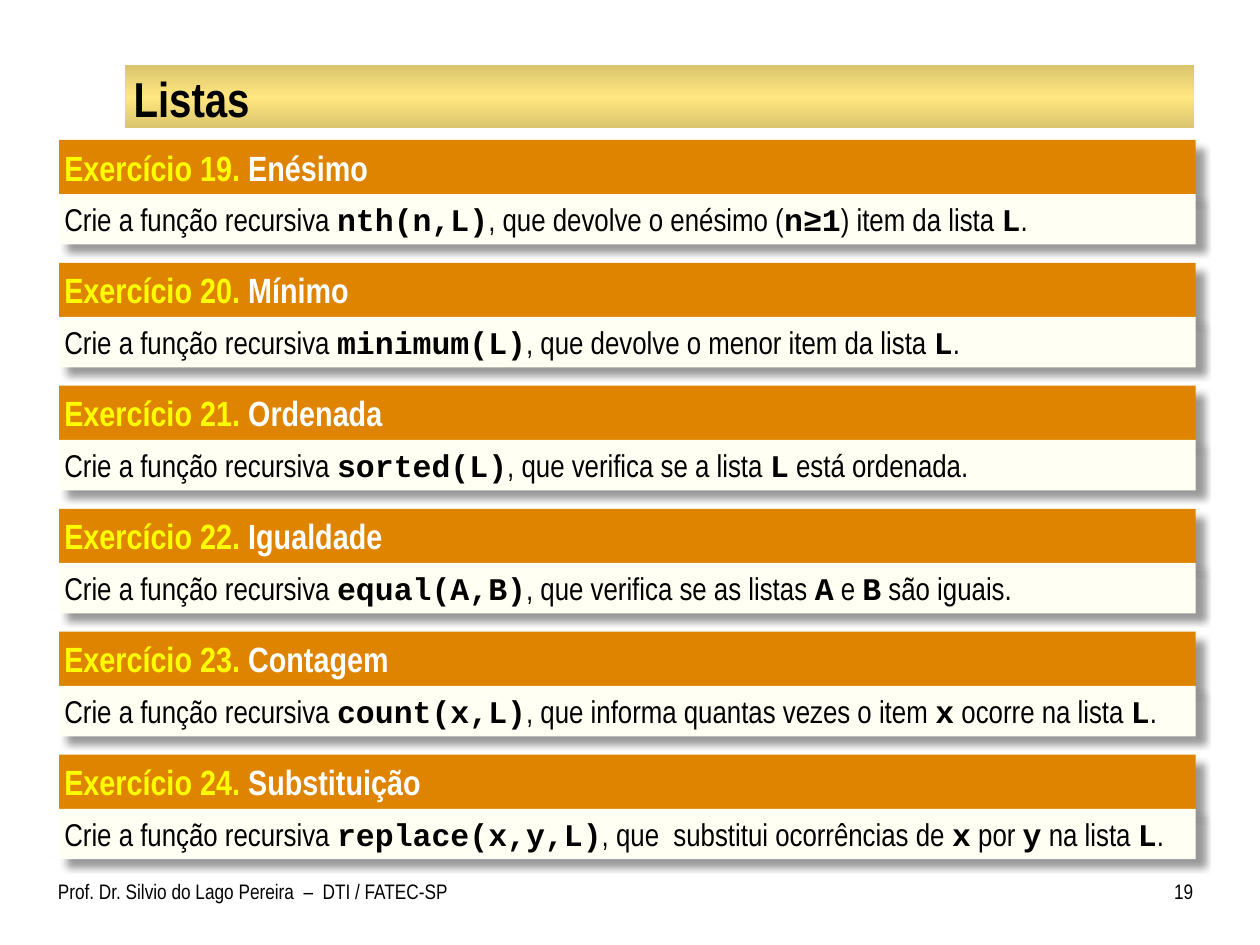
import pptx
import pptx.util
import pptx.dml.color
import pptx.enum.shapes
import pptx.enum.text
import pptx.oxml
import pptx.oxml.ns
from pptx.util import Inches

HUES = {"gold": "FFE781", "orange": "DE8400", "cream": "FFFFF3",
        "yellow": "FFFF00", "white": "FFFFFF", "black": "000000"}
SANS, MONO = "Arial Narrow", "Courier New"
ALIGN = pptx.enum.text.PP_ALIGN
FIT = pptx.enum.text.MSO_AUTO_SIZE
RECT = pptx.enum.shapes.MSO_SHAPE.RECTANGLE
NS = pptx.oxml.ns.nsdecls("a")


def write(frame, text, size, hues=("black",), fonts=(SANS,), bolds=(False,),
          align=ALIGN.LEFT, inset=(0, 0.05, 0, 0.05), fit=FIT.NONE, before=0):
    """Write text; each | moves on to the next hue, font and weight."""
    frame.word_wrap, frame.auto_size = True, fit
    frame.vertical_anchor = pptx.enum.text.MSO_ANCHOR.TOP
    (frame.margin_left, frame.margin_top,
     frame.margin_right, frame.margin_bottom) = map(Inches, inset)
    para = frame.paragraphs[0]
    para.alignment, para.space_before = align, pptx.util.Pt(before)
    for i, part in enumerate(text.split("|")):
        run = para.add_run()
        run.text = part
        run.font.size = pptx.util.Pt(size)
        run.font.name = fonts[i % len(fonts)]
        run.font.bold = bolds[i % len(bolds)]
        hue = HUES[hues[i % len(hues)]]
        run.font.color.rgb = pptx.dml.color.RGBColor.from_string(hue)


def panel(top, high, hue):
    """Add a filled band with a soft shadow to the lower right."""
    box = slide.shapes.add_shape(RECT, Inches(0.47), Inches(top),
                                 Inches(9.02), Inches(high))
    box.fill.solid()
    box.fill.fore_color.rgb = pptx.dml.color.RGBColor.from_string(HUES[hue])
    box.line.fill.background()
    box._element.spPr.append(pptx.oxml.parse_xml(
        f'<a:effectLst {NS}><a:outerShdw blurRad="50800" dist="76200" '
        'dir="2700000" algn="tl" rotWithShape="0"><a:srgbClr val="000000">'
        '<a:alpha val="40000"/></a:srgbClr></a:outerShdw></a:effectLst>'))
    return box.text_frame


deck = pptx.Presentation()
deck.slide_width, deck.slide_height = Inches(10), Inches(7.5)
slide = deck.slides.add_slide(deck.slide_layouts[5])

# Title
title = slide.shapes.title
title.left, title.top = Inches(1), Inches(0.54)
title.width, title.height = Inches(8.47), Inches(0.47)
write(title.text_frame, "Listas", 28, bolds=(True,),
      inset=(0.06, 0.01, 0.06, 0.01))
title.text_frame.vertical_anchor = pptx.enum.text.MSO_ANCHOR.MIDDLE

# Gold bar behind the title, darker at both edges
bar = slide.shapes.add_shape(RECT, Inches(0.99), Inches(0.52),
                             Inches(8.49), Inches(0.5))
bar.shadow.inherit = False
bar.line.fill.background()
bar.fill.gradient()
bar.fill.gradient_angle = 270
stops = bar._element.spPr.find(".//" + pptx.oxml.ns.qn("a:gsLst"))
for stop in list(stops):
    stops.remove(stop)
for pos, shade in ((0, 70), (50, 100), (100, 70)):
    stops.append(pptx.oxml.parse_xml(
        f'<a:gs {NS} pos="{pos * 1000}"><a:srgbClr val="{HUES["gold"]}">'
        f'<a:shade val="{shade * 1000}"/></a:srgbClr></a:gs>'))
title._element.addprevious(bar._element)

# Exercises: every second part of a task is code
tasks = [
    ("Enésimo", "|nth(n,L)|, que devolve o enésimo (|n≥1|) item da lista |L|."),
    ("Mínimo", "|minimum(L)|, que devolve o menor item da lista |L|."),
    ("Ordenada", "|sorted(L)|, que verifica se a lista |L| está ordenada."),
    ("Igualdade",
     "|equal(A,B)|, que verifica se as listas |A| e |B| são iguais."),
    ("Contagem", "|count(x,L)|, que informa quantas vezes o item |x|"
     " ocorre na lista |L|."),
    ("Substituição", "|replace(x,y,L)|, que  substitui ocorrências de |x|"
     " por |y| na lista |L|."),
]
for i, (name, task) in enumerate(tasks):
    top = 1.11 + i * 4.88 / 5
    write(panel(top, 0.44, "orange"), f"Exercício {19 + i}.| {name}", 20,
          hues=("yellow", "white"), bolds=(True,),
          inset=(0.04, 0.05, 0.1, 0.05), fit=FIT.SHAPE_TO_FIT_TEXT)
    write(panel(top + 0.43, 0.4, "cream"), "Crie a função recursiva " + task,
          18, fonts=(SANS, MONO), bolds=(False, True), align=ALIGN.JUSTIFY,
          inset=(0.04, 0.05, 0.04, 0.05), fit=FIT.SHAPE_TO_FIT_TEXT, before=6)

# Footer
for left, wide, text, align in (
        (0.46, 3.27, "Prof. Dr. Silvio do Lago Pereira  –  DTI / FATEC-SP",
         ALIGN.LEFT),
        (9.08, 0.39, "19", ALIGN.RIGHT)):
    box = slide.shapes.add_textbox(Inches(left), Inches(6.92),
                                   Inches(wide), Inches(0.42))
    write(box.text_frame, text, 12, align=align)

deck.save("out.pptx")
